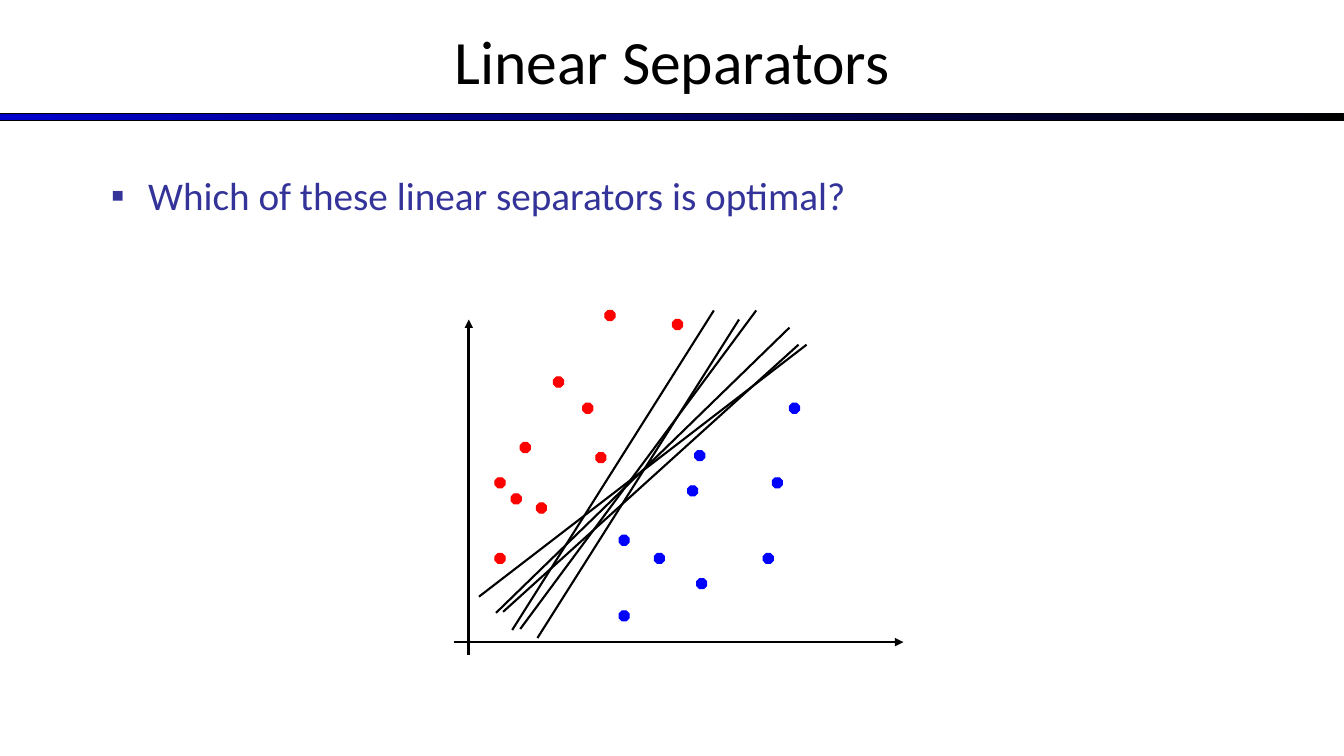
from dataclasses import dataclass

from lxml import etree
from pptx import Presentation
from pptx.dml.color import RGBColor
from pptx.enum import shapes, text
from pptx.oxml import ns
from pptx.util import Inches, Pt


@dataclass(frozen=True)
class Theme:
    font: str = "Calibri"
    black: str = "000000"
    bar_blue: str = "0000CC"
    body_blue: str = "333399"
    red: str = "FF0000"
    blue: str = "0000FF"
    title_size: float = 44
    body_size: float = 28
    thin: float = 0.75
    separator: float = 1.5
    axis: float = 2


THEME = Theme()
TITLE = "Linear Separators"
QUESTION = "Which of these linear separators is optimal?"
DOT_SIZE = 0.1
INDENT = 0.37

AXES = [((4.65, 6.5), (4.65, 3.17)), ((4.5, 6.37), (8.96, 6.37))]
SEPARATORS = [
    ((4.99, 6.07), (7.92, 3.42)),
    ((5.16, 6.24), (7.5, 3.08)),
    ((4.75, 5.92), (8, 3.42)),
    ((5.33, 6.33), (7.33, 3.17)),
    ((5.08, 6.25), (7.08, 3.08)),
    ((4.92, 6.08), (7.83, 3.25)),
]
CLASSES = {
    THEME.red: [
        (5.78, 4), (5.16, 4.39), (5.32, 4.99), (4.91, 5.49), (5.49, 3.74),
        (4.91, 4.74), (5.07, 4.9), (5.91, 4.49), (6, 3.08), (6.67, 3.17),
    ],
    THEME.blue: [
        (6.89, 4.47), (6.49, 5.49), (7.57, 5.49), (6.14, 6.06), (6.82, 4.82),
        (6.14, 5.31), (6.91, 5.74), (7.66, 4.74), (7.83, 4),
    ],
}


def color(value):
    return RGBColor.from_string(value)


def add_child(parent, tag, **attributes):
    return etree.SubElement(parent, ns.qn(tag), **attributes)


def add_preset(slide, kind, box, line_color):
    shape = slide.shapes.add_shape(kind, *map(Inches, box))
    shape.shadow.inherit = False
    shape.line.color.rgb = color(line_color)
    shape.line.width = Pt(THEME.thin)
    return shape


def add_bar(slide):
    bar = add_preset(slide, shapes.MSO_SHAPE.RECTANGLE, (0, 1.13, 13.33, 0.07), THEME.black)
    bar.fill.gradient()
    bar.fill.gradient_angle = 0
    for stop, value in zip(bar.fill.gradient_stops, (THEME.bar_blue, THEME.black)):
        stop.color.rgb = color(value)


def fill_placeholder(holder, box, wording, size, value):
    holder.left, holder.top, holder.width, holder.height = map(Inches, box)
    holder.text_frame.text = wording
    para = holder.text_frame.paragraphs[0]
    font = para.runs[0].font
    font.name, font.size = THEME.font, Pt(size)
    font.color.rgb = color(value)
    return para


def add_bullet(para):
    properties = para._p.get_or_add_pPr()
    properties.set("marL", str(Inches(INDENT)))
    properties.set("indent", str(Inches(-INDENT)))
    spacing = add_child(properties, "a:spcBef")
    add_child(spacing, "a:spcPct", val="20000")
    tint = add_child(properties, "a:buClr")
    add_child(tint, "a:srgbClr", val=THEME.body_blue)
    add_child(properties, "a:buChar", char="▪")


def add_line(slide, start, end, width, arrow=False):
    line = slide.shapes.add_connector(
        shapes.MSO_CONNECTOR.STRAIGHT, *map(Inches, start + end)
    )
    line.line.color.rgb = color(THEME.black)
    line.line.width = Pt(width)
    if arrow:
        add_child(line.line._get_or_add_ln(), "a:tailEnd", type="triangle")
    add_child(line._element.spPr, "a:effectLst")


def add_dot(slide, left, top, value):
    dot = add_preset(slide, shapes.MSO_SHAPE.OCTAGON, (left, top, DOT_SIZE, DOT_SIZE), value)
    dot.fill.solid()
    dot.fill.fore_color.rgb = color(value)


deck = Presentation()
deck.slide_width, deck.slide_height = Inches(13.33), Inches(7.5)
page = deck.slides.add_slide(deck.slide_layouts[1])

add_bar(page)
title = page.shapes.title
heading = fill_placeholder(title, (0, -0.03, 13.33, 1.25), TITLE, THEME.title_size, THEME.black)
heading.alignment = text.PP_ALIGN.CENTER
title.text_frame.vertical_anchor = text.MSO_ANCHOR.MIDDLE
add_bullet(fill_placeholder(
    page.placeholders[1], (1, 1.65, 10.75, 5.5), QUESTION, THEME.body_size, THEME.body_blue
))

for start, end in AXES:
    add_line(page, start, end, THEME.axis, arrow=True)
for value, points in CLASSES.items():
    for left, top in points:
        add_dot(page, left, top, value)
for start, end in SEPARATORS:
    add_line(page, start, end, THEME.separator)

deck.save("out.pptx")
